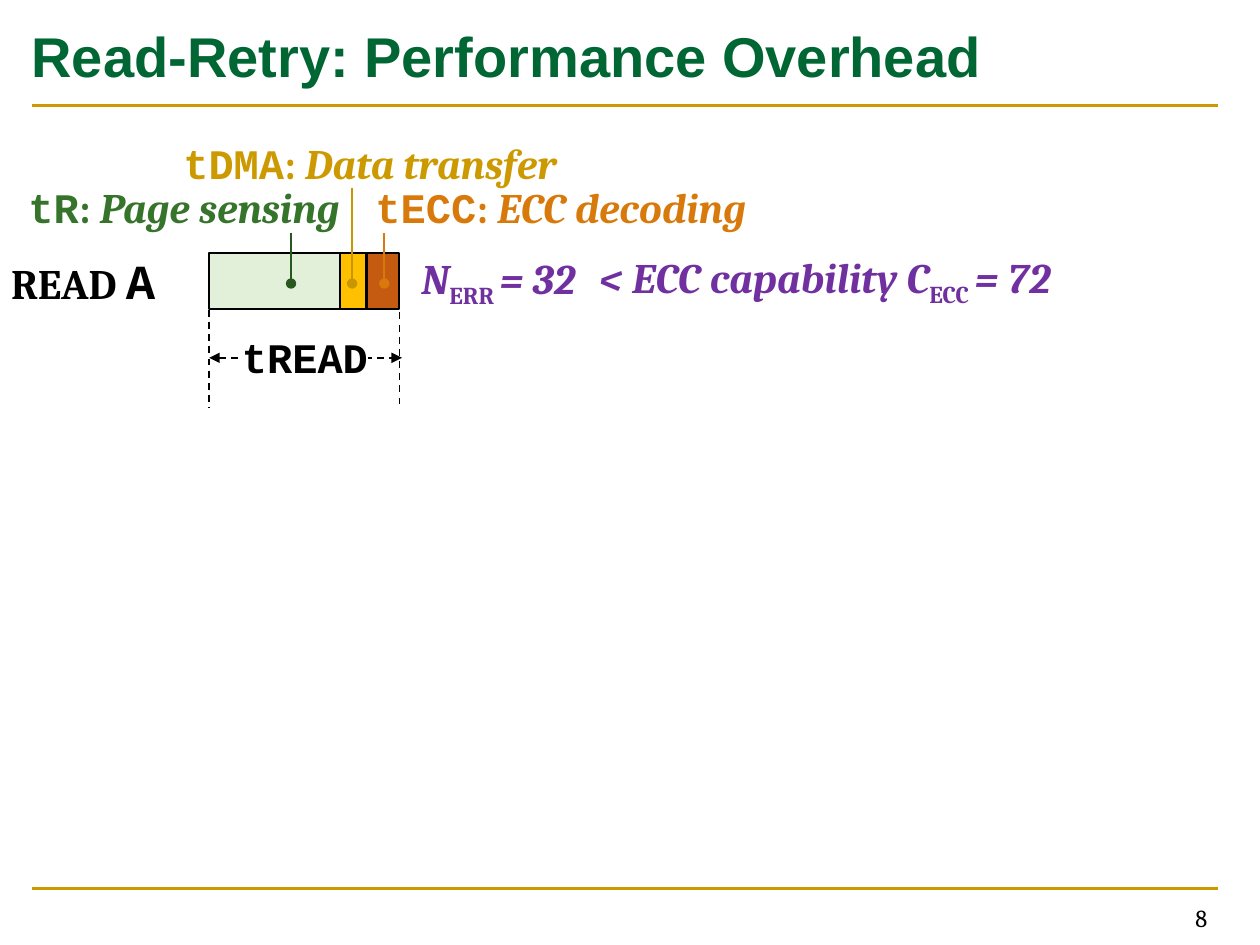
from lxml import etree
from pptx import Presentation
from pptx.dml.color import RGBColor
from pptx.enum.dml import MSO_LINE
from pptx.enum.shapes import MSO_CONNECTOR, MSO_SHAPE
from pptx.enum.text import MSO_ANCHOR, PP_ALIGN
from pptx.oxml.ns import qn
from pptx.util import Inches, Pt

DASH = MSO_LINE.DASH
RECT = MSO_SHAPE.RECTANGLE
LINE = MSO_CONNECTOR.STRAIGHT
MID = MSO_ANCHOR.MIDDLE
LEFT, MIDDLE, RIGHT = PP_ALIGN.LEFT, PP_ALIGN.CENTER, PP_ALIGN.RIGHT
SANS, SERIF, MONO = "Arial", "Cambria", "Courier New"
GOLD, BLACK, PURPLE = "CC9900", "000000", "7030A0"

deck = Presentation()
deck.slide_width, deck.slide_height = Inches(10), Inches(7.5)
slide = deck.slides.add_slide(deck.slide_layouts[6])
shapes = slide.shapes

# The slide is a grid of 100 columns by 75 rows of square cells.
CELL = deck.slide_width / 100
rgb = RGBColor.from_string


def write(box, runs, color, align=MIDDLE, pad=(0, 0, 0, 0)):
    """Fill a box with runs of (text, font, size, style); style holds b, i or s (subscript)."""
    frame = box.text_frame
    frame.word_wrap = True
    frame.vertical_anchor = MID
    (frame.margin_left, frame.margin_top,
     frame.margin_right, frame.margin_bottom) = [int(p * CELL) for p in pad]
    para = frame.paragraphs[0]
    para.alignment = align
    for text, face, size, style in runs:
        run = para.add_run()
        run.text = text
        font = run.font
        font.name, font.size, font.color.rgb = face, Pt(size), rgb(color)
        font.bold, font.italic = "b" in style, "i" in style
        if "s" in style:
            font._element.set("baseline", "-25000")


def rule(x1, y1, x2, y2, color, width=1, dash=None, ends=()):
    """Draw a line; ends lists (headEnd or tailEnd, arrowhead type)."""
    line = shapes.add_connector(LINE, *[int(v * CELL) for v in (x1, y1, x2, y2)])
    line.line.color.rgb = rgb(color)
    line.line.width = Pt(width)
    if dash:
        line.line.dash_style = dash
    for tag, kind in ends:
        etree.SubElement(line.line._get_or_add_ln(), qn("a:" + tag), type=kind)
    etree.SubElement(line._element.spPr, qn("a:effectLst"))


# Frame of the slide: rules, title and page number
for y in (8.4, 70.5):
    rule(2.5, y, 96.7, y, GOLD, 1.5)

# Text boxes: place, runs, colour, alignment, padding
wide = (1, 0.5, 1, 0.5)
texts = [
    ((2.5, 0.4, 94.2, 7.9), [("Read-Retry: Performance Overhead", SANS, 32, "b")],
     "006633", LEFT, (0, 0.5, 0, 0.5)),
    ((73.5, 71.1, 23.3, 3.4), [("8", SERIF, 14, "")], BLACK, RIGHT, wide),
    ((-3, 19.9, 18.4, 4.7), [("READ ", SERIF, 24, "b"), ("A", MONO, 28, "b")],
     BLACK, MIDDLE, (0.8, 0, 0, 0)),
]
for place, name, value in [((22.2, 19.8, 34.7, 5), ("N", "ERR "), "= 32"),
                           ((44.6, 19.7, 41, 5), (" < ECC capability C", "ECC "), "= 72")]:
    texts.append((place, [(name[0], SERIF, 24, "bi"), (name[1], SERIF, 24, "bs"),
                          (value, SERIF, 24, "bi")], PURPLE, MIDDLE, wide))
for place, code, label, color, inset in [
        ((1.7, 14.4, 25.8, 4), "tR", " Page sensing", "35742A", 0),
        ((12.2, 10.9, 34.3, 4), "tDMA", " Data transfer", GOLD, 0),
        ((28.7, 14.4, 30.8, 4), "tECC", " ECC decoding", "D77A0B", 0.8)]:
    texts.append((place, [(code, MONO, 24, "b"), (":", SERIF, 24, "b"),
                          (label, SERIF, 24, "bi")], color, MIDDLE, (inset, 0, 0, 0)))
for place, runs, color, align, pad in texts:
    write(shapes.add_textbox(*[int(v * CELL) for v in place]), runs, color, align, pad)

# Read bar: sensing, transfer and decoding side by side
edges = (16.6, 27, 29.1, 31.7)
top, tall = 20.1, 4.4
for left, right, color in zip(edges, edges[1:], ("E2F0D9", "FFC000", "C55A11")):
    part = shapes.add_shape(
        RECT, *[int(v * CELL) for v in (left, top, right - left, tall)])
    part.shadow.inherit = False
    part.fill.solid()
    part.fill.fore_color.rgb = rgb(color)
    part.line.color.rgb = rgb(BLACK)
    part.line.width = Pt(1.25)

# Total time below the bar
rule(edges[0], 28.4, 31.9, 28.4, BLACK, dash=DASH,
     ends=[("headEnd", "triangle"), ("tailEnd", "triangle")])
total = shapes.add_shape(RECT, *[int(v * CELL) for v in (19.2, 26.3, 10, 4)])
total.shadow.inherit = False
total.fill.solid()
total.fill.fore_color.rgb = rgb("FFFFFF")
total.line.fill.background()
write(total, [("tREAD", MONO, 24, "b")], BLACK)
for x, y in ((edges[0], 24.6), (edges[-1], 24.8)):
    rule(x, y, x, 32.4, BLACK, dash=DASH)

# Pointers from the labels into the bar
for x, y, color in ((23.1, 18.5, "285720"), (27.95, 14.9, "C89600"),
                    (30.5, 18.5, "D77A0B")):
    rule(x, y, x, 22.5, color, ends=[("tailEnd", "oval")])

deck.save("out.pptx")
